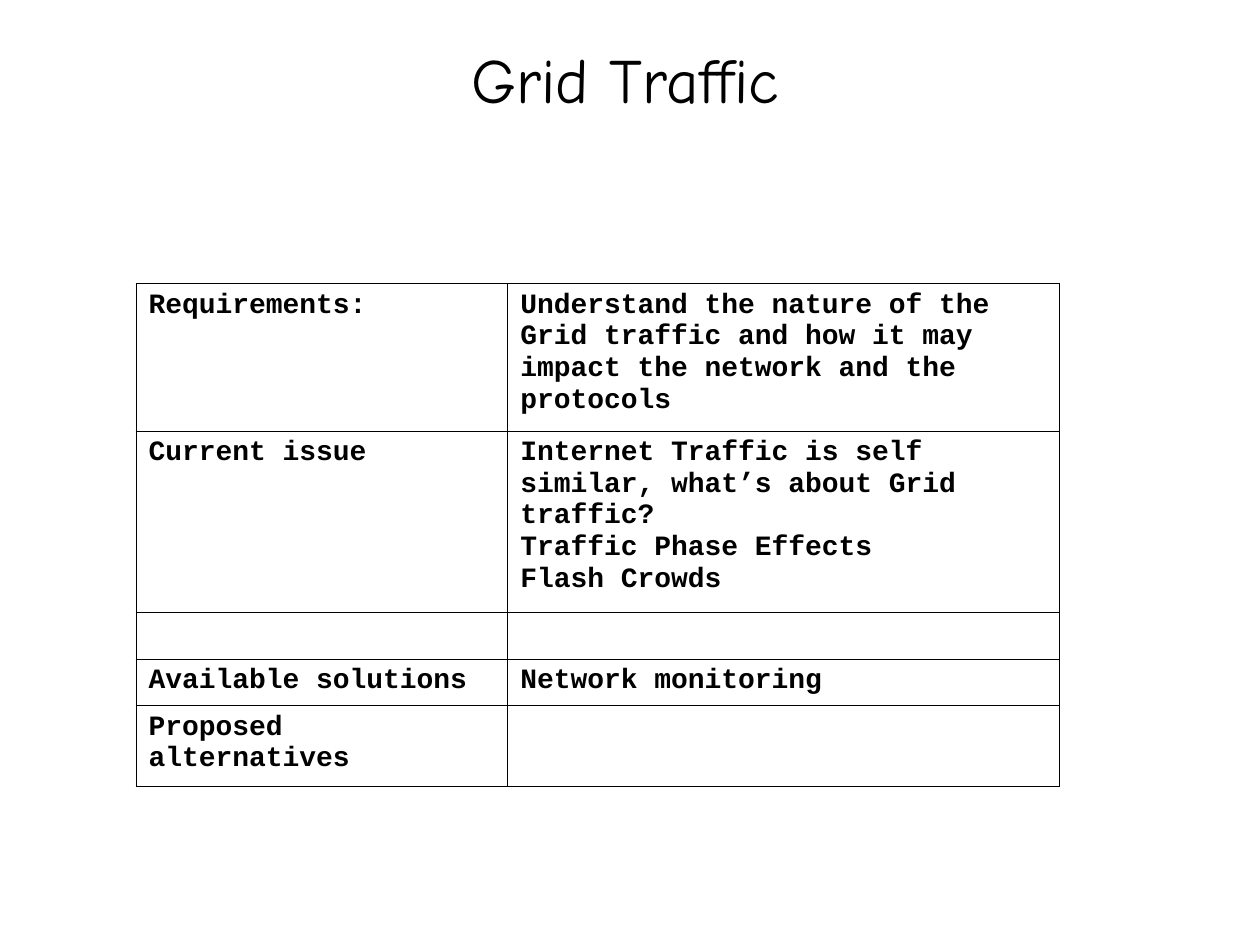
from lxml import etree
from pptx import Presentation
from pptx import util as u
from pptx.dml.color import RGBColor
from pptx.enum import text
from pptx.oxml import ns

TITLE_FONT = {"name": "Comic Neue", "size": u.Pt(36), "bold": False}
CELL_FONT = {"name": "Courier New", "size": u.Pt(16), "bold": True}
INK = "000000"
BORDER_WIDTH = u.Pt(0.45)
COLUMN_WIDTHS = [2.95, 4.38]
ROW_HEIGHTS = [1.17, 1.44, 0.37, 0.37, 0.64]
ROWS = [
    ("Requirements:",
     "Understand the nature of the Grid traffic and how it may impact "
     "the network and the protocols"),
    ("Current issue",
     "Internet Traffic is self similar, what’s about Grid traffic?\n"
     "Traffic Phase Effects\nFlash Crowds"),
    ("", ""),
    ("Available solutions", "Network monitoring"),
    ("Proposed alternatives", ""),
]


def color(value):
    return RGBColor.from_string(value)


def format_font(font, values):
    for name, value in values.items():
        setattr(font, name, value)
    font.color.rgb = color(INK)


def add_borders(cell):
    properties = cell._tc.get_or_add_tcPr()
    for position, side in enumerate(("lnL", "lnR", "lnT", "lnB")):
        line = etree.Element(ns.qn(f"a:{side}"), w=str(int(BORDER_WIDTH)))
        fill = etree.SubElement(line, ns.qn("a:solidFill"))
        etree.SubElement(fill, ns.qn("a:srgbClr"), val=INK)
        properties.insert(position, line)


def fill_cell(cell, content):
    cell.text = content
    cell.fill.background()
    add_borders(cell)
    for paragraph in cell.text_frame.paragraphs:
        for run in paragraph.runs:
            format_font(run.font, CELL_FONT)
        if not paragraph.runs:
            size = str(int(CELL_FONT["size"].pt * 100))
            ending = etree.SubElement(paragraph._p, ns.qn("a:endParaRPr"), sz=size)
            etree.SubElement(ending, ns.qn("a:latin"), typeface=CELL_FONT["name"])


def place_title(slide, box, content):
    title = slide.shapes.title
    title.left, title.top, title.width, title.height = box
    frame = title.text_frame
    frame.text = content
    frame.vertical_anchor = text.MSO_ANCHOR.MIDDLE
    paragraph = frame.paragraphs[0]
    paragraph.alignment = text.PP_ALIGN.CENTER
    format_font(paragraph.runs[0].font, TITLE_FONT)


def place_table(slide, box, rows):
    table = slide.shapes.add_table(len(rows), len(rows[0]), *box).table
    table.first_row = table.horz_banding = False
    for column, share in zip(table.columns, COLUMN_WIDTHS):
        column.width = int(box[2] * share / sum(COLUMN_WIDTHS))
    for row, share, contents in zip(table.rows, ROW_HEIGHTS, rows):
        row.height = int(box[3] * share / sum(ROW_HEIGHTS))
        for cell, content in zip(row.cells, contents):
            fill_cell(cell, content)


def inches(*lengths):
    return [u.Inches(length) for length in lengths]


def main():
    presentation = Presentation()
    presentation.slide_width, presentation.slide_height = inches(10, 7.5)
    slide = presentation.slides.add_slide(presentation.slide_layouts[5])
    place_title(slide, inches(0.5, 0, 8.92, 1.25), "Grid Traffic")
    place_table(slide, inches(1.08, 2.25, 7.33, 3.99), ROWS)
    presentation.save("out.pptx")


if __name__ == "__main__":
    main()
